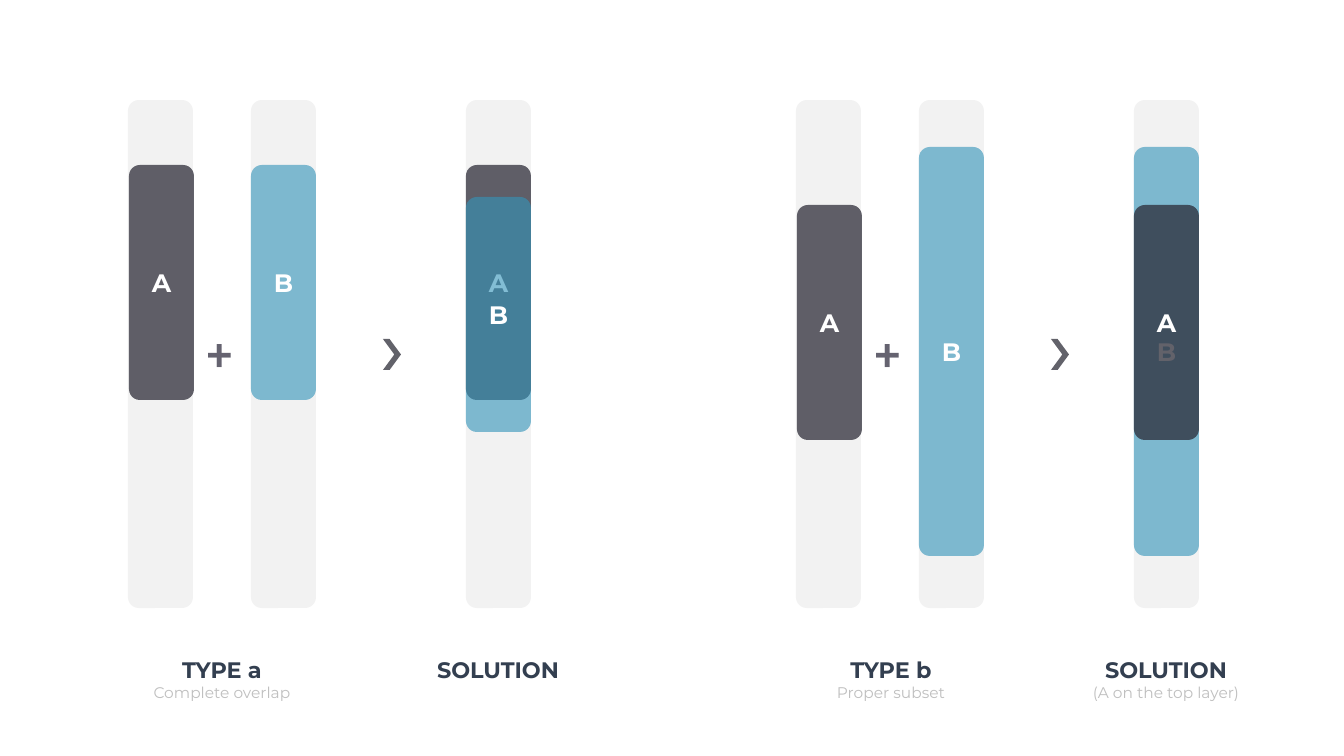
from lxml import etree
from pptx import Presentation
from pptx import util as u
from pptx.dml.color import RGBColor
from pptx.enum import shapes, text
from pptx.oxml.ns import qn

PX = 914400 / 100.8
THEME = {
    "track": ("F2F2F2", 100),
    "A": ("292834", 73),
    "B": ("3494BA", 61),
    "plus": ("373545", 76),
    "letter": ("FFFFFF", 100),
    "heading": ("333F50", 100),
    "note": ("BFBFBF", 100),
    "font": "Montserrat",
    "plus_font": "Noto Sans CJK SC",
    "letter_size": 18,
    "heading_size": 16,
    "note_size": 11,
    "plus_size": 32,
}
CENTER = text.PP_ALIGN.CENTER


def paint(fill, role):
    color, opacity = THEME[role]
    fill.solid()
    fill.fore_color.rgb = RGBColor.from_string(color)
    if opacity < 100:
        color_element = fill._xPr.find(qn("a:solidFill"))[0]
        etree.SubElement(color_element, qn("a:alpha")).set("val", str(opacity * 1000))


def write(frame, lines, align=CENTER, wrap=False, anchor=text.MSO_ANCHOR.TOP):
    frame.word_wrap = wrap
    frame.vertical_anchor = anchor
    for index, (words, role, font_name) in enumerate(lines):
        paragraph = frame.add_paragraph() if index else frame.paragraphs[0]
        paragraph.alignment = align
        run = paragraph.add_run()
        run.text = words
        formats = {"name": THEME[font_name], "size": u.Pt(THEME[role + "_size"]), "bold": role != "note"}
        for attribute, value in formats.items():
            setattr(run.font, attribute, value)
        paint(run.font.fill, role)


presentation = Presentation()
presentation.slide_width = round(1344 * PX)
presentation.slide_height = round(756 * PX)
slide = presentation.slides.add_slide(presentation.slide_layouts[6])

TRACK_WIDTH = 65
COLUMNS = {"first": 128, "second": 251, "solution": 466}
EXAMPLES = [
    {
        "left": 0,
        "bars": [("first", "A", 165, 235), ("second", "B", 165, 235),
                 ("solution", "A", 165, 235), ("solution", "B", 197, 235)],
        "captions": [(222, "TYPE a", "Complete overlap"), (498, "SOLUTION", "")],
    },
    {
        "left": 668,
        "bars": [("first", "A", 205, 235), ("second", "B", 147, 409),
                 ("solution", "B", 147, 409), ("solution", "A", 205, 235)],
        "captions": [(223, "TYPE b", "Proper subset"), (498, "SOLUTION", "(A on the top layer)")],
    },
]

for example in EXAMPLES:
    left = example["left"]
    blocks = [(column, "track", 100, 508) for column in COLUMNS] + example["bars"]
    for column, role, top, height in blocks:
        nudge = 1 if column == "first" and role == "A" else 0
        box = (left + COLUMNS[column] + nudge, top, TRACK_WIDTH, height)
        block = slide.shapes.add_shape(
            shapes.MSO_SHAPE.ROUNDED_RECTANGLE, *(round(value * PX) for value in box))
        block.shadow.inherit = False
        block.line.fill.background()
        paint(block.fill, role)
        if role != "track":
            write(block.text_frame, [(role, "letter", "font")], wrap=True, anchor=text.MSO_ANCHOR.MIDDLE)

    plus = slide.shapes.add_textbox(*(round(value * PX) for value in (left + 197, 323, 51, 65)))
    write(plus.text_frame, [("+", "plus", "plus_font")], align=text.PP_ALIGN.LEFT)

    chevron = slide.shapes.add_shape(
        shapes.MSO_SHAPE.CHEVRON, *(round(value * PX) for value in (left + 383, 339, 18, 31)))
    chevron.adjustments[0] = 0.63
    chevron.shadow.inherit = False
    chevron.line.fill.background()
    paint(chevron.fill, "A")

    for center, heading, note in example["captions"]:
        lines = [(heading, "heading", "font")]
        if note:
            lines.append((note, "note", "font"))
        box = (left + center - 84, 651, 168, 56 if note else 37)
        caption = slide.shapes.add_textbox(*(round(value * PX) for value in box))
        write(caption.text_frame, lines)

presentation.save("out.pptx")
